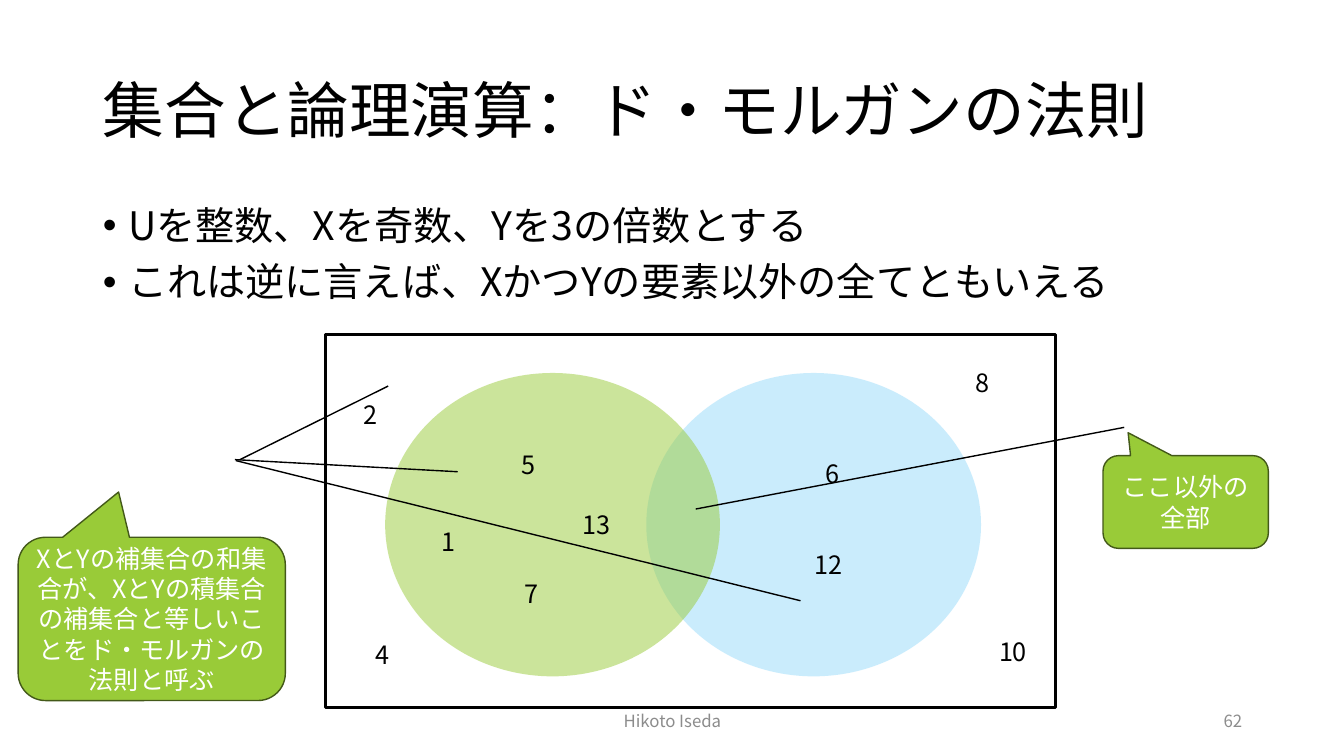
from lxml import etree
from pptx import Presentation
from pptx.dml.color import RGBColor
from pptx.enum.shapes import MSO_CONNECTOR, MSO_SHAPE
from pptx.enum.text import MSO_ANCHOR, MSO_AUTO_SIZE, PP_ALIGN
from pptx.oxml.ns import qn
from pptx.util import Inches, Pt

FONT = "Noto Sans CJK JP"
BLACK = RGBColor(0x00, 0x00, 0x00)
WHITE = RGBColor(0xFF, 0xFF, 0xFF)
GRAY = RGBColor(0x8C, 0x8C, 0x8C)
GREEN = RGBColor(0x99, 0xCB, 0x38)
DARK_GREEN = RGBColor(0x43, 0x59, 0x19)
BLUE = RGBColor(0x97, 0xDB, 0xFB)


def format_text(shape, size, color, alignment=PP_ALIGN.LEFT):
    for paragraph in shape.text_frame.paragraphs:
        paragraph.alignment = alignment
        for run in paragraph.runs:
            run.font.size = Pt(size)
            run.font.color.rgb = color
            run.font.name = FONT
            east_asian = etree.SubElement(run.font._element, qn("a:ea"))
            east_asian.set("typeface", FONT)


def add_plain_shape(kind, left, top, width, height):
    shape = slide.shapes.add_shape(
        kind, Inches(left), Inches(top), Inches(width), Inches(height))
    shape.shadow.inherit = False
    return shape


presentation = Presentation()
presentation.slide_width = Inches(13.33)
presentation.slide_height = Inches(7.5)
slide = presentation.slides.add_slide(presentation.slide_layouts[1])

# Title
title = slide.shapes.title
title.left, title.top = Inches(0.92), Inches(0.4)
title.width, title.height = Inches(11.5), Inches(1.45)
title.text_frame.text = "集合と論理演算：ド・モルガンの法則"
title.text_frame.vertical_anchor = MSO_ANCHOR.MIDDLE
title.text_frame.auto_size = MSO_AUTO_SIZE.NONE
title.text_frame.paragraphs[0].line_spacing = 0.9
format_text(title, 44, BLACK)

# Bulleted list
body = slide.placeholders[1]
body.left, body.top = Inches(0.92), Inches(2)
body.width, body.height = Inches(11.5), Inches(4.76)
body.text_frame.text = (
    "Uを整数、Xを奇数、Yを3の倍数とする\n"
    "これは逆に言えば、XかつYの要素以外の全てともいえる")
body.text_frame.auto_size = MSO_AUTO_SIZE.NONE
for index, paragraph in enumerate(body.text_frame.paragraphs):
    properties = paragraph._p.get_or_add_pPr()
    properties.set("marL", str(Inches(0.25)))
    properties.set("indent", str(-Inches(0.25)))
    etree.SubElement(properties, qn("a:buFont")).set("typeface", "Arial")
    etree.SubElement(properties, qn("a:buChar")).set("char", "•")
    paragraph.line_spacing = 0.9
    paragraph.space_before = Pt(10 if index else 0)
format_text(body, 28, BLACK)

# Footer and slide number
for text, left, width, alignment in [
    ("Hikoto Iseda", 4.42, 4.5, PP_ALIGN.CENTER),
    ("62", 9.42, 3, PP_ALIGN.RIGHT),
]:
    footer = slide.shapes.add_textbox(
        Inches(left), Inches(6.95), Inches(width), Inches(0.4))
    footer.text_frame.text = text
    footer.text_frame.word_wrap = True
    footer.text_frame.vertical_anchor = MSO_ANCHOR.MIDDLE
    format_text(footer, 12, GRAY, alignment)

# Universal set U
universe = add_plain_shape(MSO_SHAPE.RECTANGLE, 3.23, 3.32, 7.24, 3.7)
universe.fill.background()
universe.line.color.rgb = BLACK
universe.line.width = Pt(2.25)

# Half-transparent sets Y and X
for left, color in [(6.41, BLUE), (3.82, GREEN)]:
    circle = add_plain_shape(MSO_SHAPE.OVAL, left, 3.7, 3.32, 3.01)
    circle.fill.solid()
    circle.fill.fore_color.rgb = color
    circle.line.fill.background()
    color_element = circle._element.spPr.find(".//" + qn("a:srgbClr"))
    etree.SubElement(color_element, qn("a:alpha")).set("val", "50000")

# Elements of the sets
for number, left, top in [
    (1, 4.28, 5.17), (5, 5.07, 4.41), (7, 5.1, 5.69), (13, 5.68, 5),
    (6, 8.09, 4.5), (12, 7.98, 5.4),
    (2, 3.51, 3.91), (4, 3.63, 6.29), (8, 9.58, 3.59), (10, 9.81, 6.26),
]:
    width = 0.34 if number < 10 else 0.48
    label = slide.shapes.add_textbox(
        Inches(left), Inches(top), Inches(width), Inches(0.4))
    label.text_frame.text = str(number)
    label.text_frame.word_wrap = False
    label.text_frame.auto_size = MSO_AUTO_SIZE.SHAPE_TO_FIT_TEXT
    format_text(label, 18, BLACK)

# Pointer lines
for start_x, start_y, end_x, end_y in [
    (2.33, 4.56, 4.54, 4.68),
    (6.9, 5.05, 11.15, 4.24),
    (2.34, 4.57, 7.94, 5.96),
    (2.38, 4.56, 3.85, 3.83),
]:
    pointer = slide.shapes.add_connector(
        MSO_CONNECTOR.STRAIGHT, Inches(start_x), Inches(start_y),
        Inches(end_x), Inches(end_y))
    pointer.line.color.rgb = BLACK
    pointer.line.width = Pt(1)
    etree.SubElement(pointer._element.spPr, qn("a:effectLst"))

# Callouts
for text, box, tip in [
    ("ここ以外の全部", (10.94, 4.52, 1.64, 0.92), (-0.348, -0.747)),
    ("XとYの補集合の和集合が、XとYの積集合の補集合と等しいことをド・モルガンの法則と呼ぶ",
     (0.18, 5.33, 2.65, 1.62), (-0.124, -0.777)),
]:
    callout = add_plain_shape(MSO_SHAPE.ROUNDED_RECTANGULAR_CALLOUT, *box)
    callout.adjustments[0], callout.adjustments[1] = tip
    callout.adjustments[2] = 0.167
    callout.fill.solid()
    callout.fill.fore_color.rgb = GREEN
    callout.line.color.rgb = DARK_GREEN
    callout.line.width = Pt(1)
    callout.text_frame.text = text
    callout.text_frame.word_wrap = True
    callout.text_frame.vertical_anchor = MSO_ANCHOR.MIDDLE
    format_text(callout, 18, WHITE, PP_ALIGN.CENTER)

presentation.save("out.pptx")
